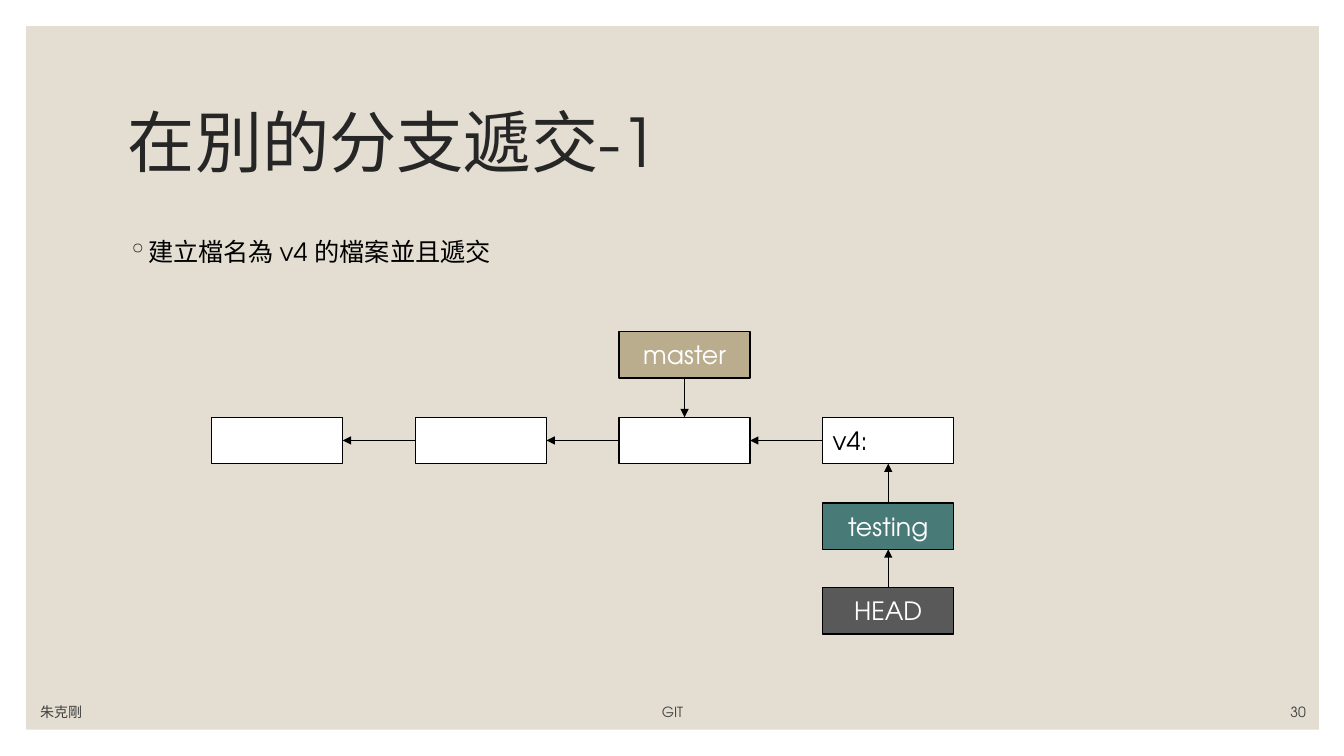
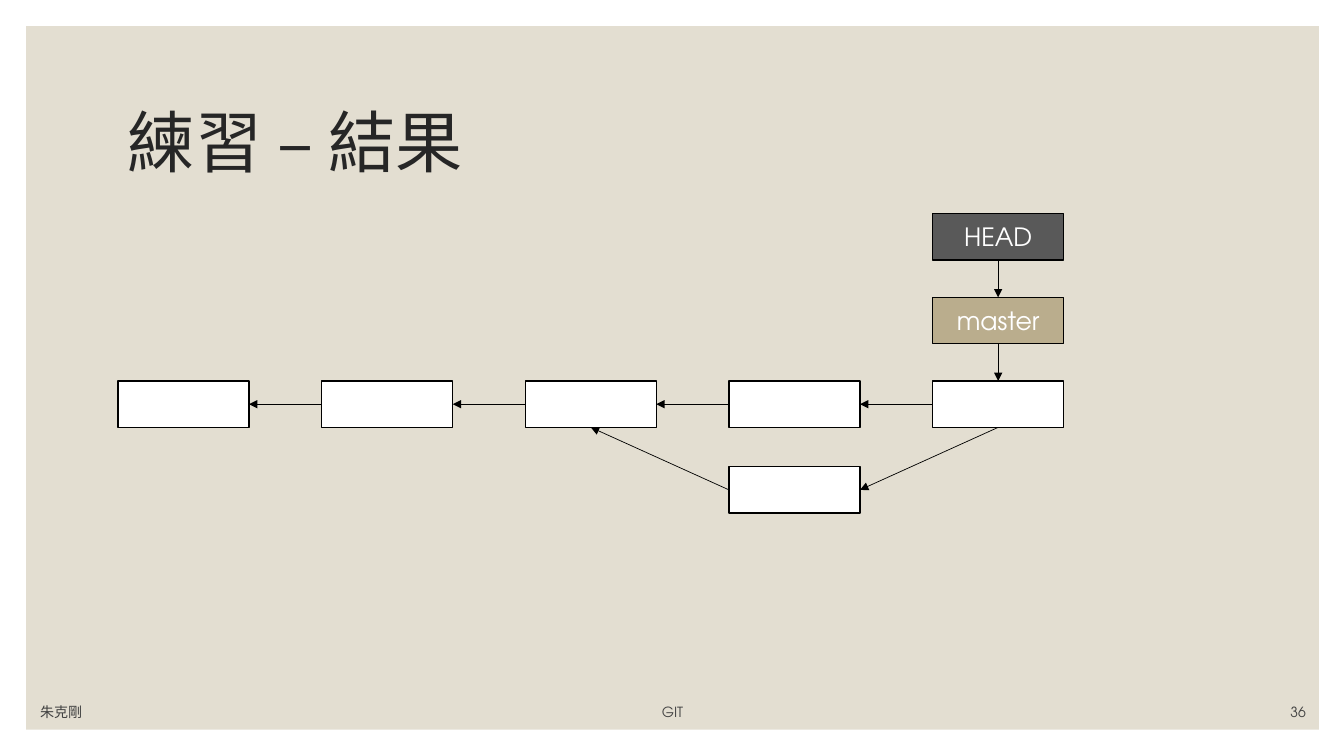
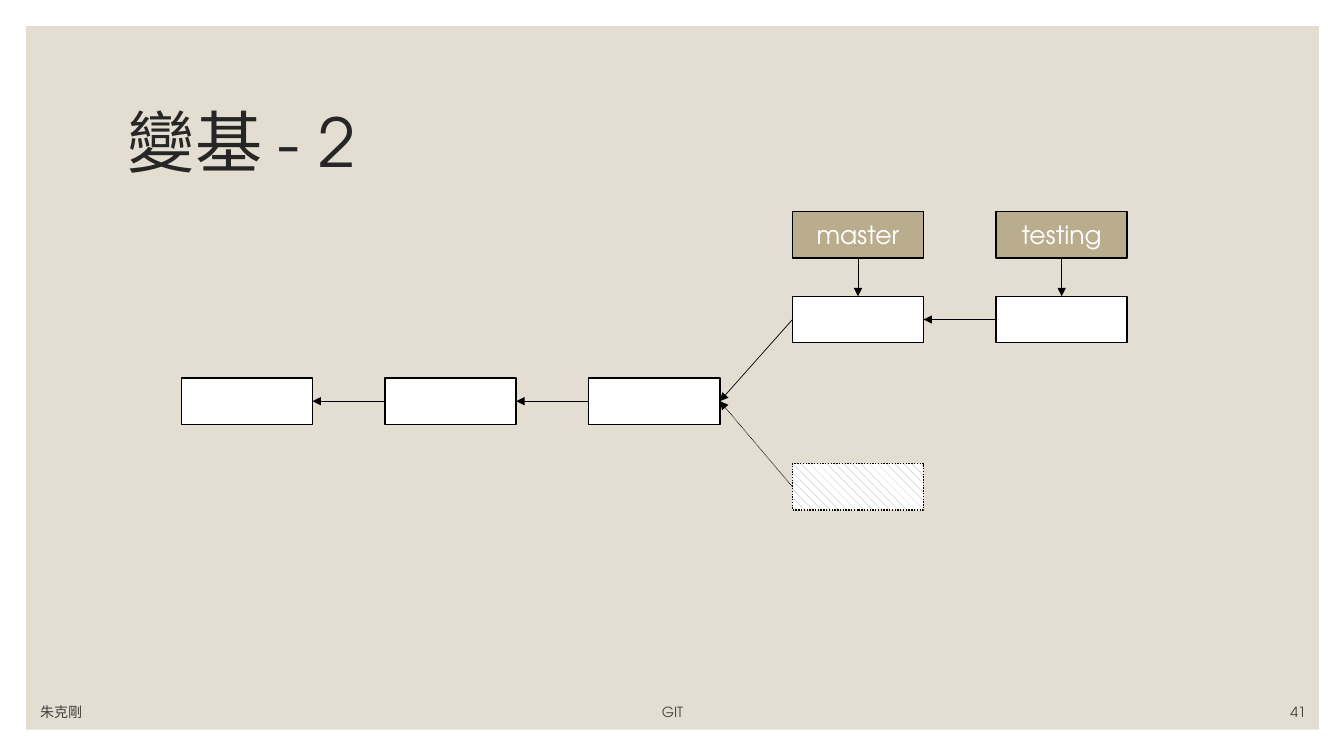
from dataclasses import dataclass

from lxml import etree
from pptx import Presentation
from pptx.dml.color import RGBColor
from pptx.enum.dml import MSO_LINE, MSO_PATTERN
from pptx.enum.shapes import MSO_CONNECTOR, MSO_SHAPE
from pptx.enum.text import MSO_ANCHOR, PP_ALIGN
from pptx.oxml.ns import qn
from pptx.shapes.autoshape import Shape
from pptx.slide import Slide
from pptx.util import Inches, Pt

RECTANGLE = MSO_SHAPE.RECTANGLE
STRAIGHT = MSO_CONNECTOR.STRAIGHT
DOTTED = MSO_LINE.ROUND_DOT
HATCH = MSO_PATTERN.DASHED_DOWNWARD_DIAGONAL
LEFT, CENTER, RIGHT = PP_ALIGN.LEFT, PP_ALIGN.CENTER, PP_ALIGN.RIGHT
TOP, MIDDLE, BOTTOM = MSO_ANCHOR.TOP, MSO_ANCHOR.MIDDLE, MSO_ANCHOR.BOTTOM

# Connection sites of a rectangle
SITE_TOP, SITE_LEFT, SITE_BOTTOM, SITE_RIGHT = range(4)

FONT = "TeX Gyre Adventor"
COLORS = {
    "panel": "E3DED1",
    "title": "262626",
    "footer": "404040",
    "black": "000000",
    "commit": "FFFFFF",
    "branch": "BAAD8D",
    "testing": "487B78",
    "head": "595959",
    "hatch": "A6A6A6",
}

# Diagram grid
BOX_WIDTH, BOX_HEIGHT = 1.3, 0.46
COLUMN_PITCH = 2.02

Cell = tuple[int, int]  # column, row
Area = tuple[float, float, float, float]  # left, top, width, height


@dataclass(frozen=True)
class Box:
    cell: Cell
    label: str = ""
    fill: str = "commit"
    text_color: str = "commit"
    align: PP_ALIGN = CENTER
    dotted: bool = False


@dataclass(frozen=True)
class Arrow:
    start: Cell
    end: Cell
    start_site: int = SITE_LEFT
    end_site: int = SITE_RIGHT
    dotted: bool = False


@dataclass(frozen=True)
class Page:
    title: str
    number: int
    left: float
    row_tops: tuple[float, ...]
    boxes: list[Box]
    arrows: list[Arrow]
    bullet: str = ""


def rgb(name: str) -> RGBColor:
    return RGBColor.from_string(COLORS[name])


def write(shape: Shape, text: str, size: float, color: str,
          align: PP_ALIGN = LEFT, anchor: MSO_ANCHOR = MIDDLE) -> None:
    frame = shape.text_frame
    frame.word_wrap = True
    frame.vertical_anchor = anchor
    frame.text = text
    paragraph = frame.paragraphs[0]
    paragraph.alignment = align
    font = paragraph.runs[0].font
    font.name, font.size = FONT, Pt(size)
    font.color.rgb = rgb(color)


def add_text(slide: Slide, area: Area, text: str, size: float, color: str,
             align: PP_ALIGN = LEFT, anchor: MSO_ANCHOR = MIDDLE) -> Shape:
    text_box = slide.shapes.add_textbox(*map(Inches, area))
    write(text_box, text, size, color, align, anchor)
    return text_box


def add_rectangle(slide: Slide, area: Area, fill: str) -> Shape:
    rectangle = slide.shapes.add_shape(RECTANGLE, *map(Inches, area))
    rectangle.shadow.inherit = False
    rectangle.fill.solid()
    rectangle.fill.fore_color.rgb = rgb(fill)
    rectangle.line.fill.background()
    return rectangle


def add_frame(slide: Slide, page: Page) -> None:
    """Panel, title and footer shared by all slides."""
    add_rectangle(slide, (0.26, 0.26, 12.82, 6.98), "panel")
    title = add_text(slide, (1.17, 0.7, 11, 1.5), page.title, 48, "title")
    title.text_frame.paragraphs[0].line_spacing = 0.9
    footers = (
        (0.3, 3, "朱克剛", LEFT),
        (3.82, 5.7, "GIT", CENTER),
        (11.45, 1.6, str(page.number), RIGHT),
    )
    for left, width, text, align in footers:
        add_text(slide, (left, 6.9, width, 0.3), text, 10, "footer", align, BOTTOM)


def add_bullet(slide: Slide, text: str) -> None:
    body = add_text(slide, (1.17, 2.3, 11, 4.3), text, 18, "black", anchor=TOP)
    properties = body.text_frame.paragraphs[0]._p.get_or_add_pPr()
    properties.set("marL", str(Inches(0.2)))
    properties.set("indent", str(Inches(-0.2)))
    bullet_color = etree.SubElement(properties, qn("a:buClr"))
    etree.SubElement(bullet_color, qn("a:srgbClr"), val=COLORS["title"])
    etree.SubElement(properties, qn("a:buChar"), char="◦")


def add_box(slide: Slide, page: Page, box: Box) -> Shape:
    column, row = box.cell
    area = (page.left + column * COLUMN_PITCH, page.row_tops[row],
            BOX_WIDTH, BOX_HEIGHT)
    shape = add_rectangle(slide, area, box.fill)
    shape.line.color.rgb = rgb("black")
    shape.line.width = Pt(1)
    if box.dotted:
        shape.line.dash_style = DOTTED
        shape.fill.patterned()
        shape.fill.pattern = HATCH
        shape.fill.fore_color.rgb = rgb("hatch")
        shape.fill.back_color.rgb = rgb("commit")
    if box.label:
        write(shape, box.label, 18, box.text_color, box.align)
    return shape


def add_arrow(slide: Slide, arrow: Arrow, placed: dict[Cell, Shape]) -> None:
    connector = slide.shapes.add_connector(STRAIGHT, 0, 0, 0, 0)
    connector.begin_connect(placed[arrow.start], arrow.start_site)
    connector.end_connect(placed[arrow.end], arrow.end_site)
    connector.line.color.rgb = rgb("black")
    connector.line.width = Pt(0.5)
    if arrow.dotted:
        connector.line.dash_style = DOTTED
    properties = connector._element.spPr
    etree.SubElement(properties.find(qn("a:ln")), qn("a:tailEnd"), type="triangle")
    etree.SubElement(properties, qn("a:effectLst"))


def add_page(presentation: Presentation, page: Page) -> None:
    slide = presentation.slides.add_slide(presentation.slide_layouts[6])
    add_frame(slide, page)
    if page.bullet:
        add_bullet(slide, page.bullet)
    placed = {box.cell: add_box(slide, page, box) for box in page.boxes}
    for arrow in page.arrows:
        add_arrow(slide, arrow, placed)


def commits(count: int, row: int) -> list[Box]:
    return [Box((column, row)) for column in range(count)]


def history(count: int, row: int) -> list[Arrow]:
    """Arrows from each commit in a row back to its parent."""
    return [Arrow((column, row), (column - 1, row)) for column in range(1, count)]


def down(column: int, row: int) -> Arrow:
    return Arrow((column, row), (column, row + 1), SITE_BOTTOM, SITE_TOP)


def up(column: int, row: int) -> Arrow:
    return Arrow((column, row), (column, row - 1), SITE_TOP, SITE_BOTTOM)


PAGES = [
    # Commit on another branch
    Page(
        "在別的分支遞交-1", 30, 2.1, (3.29, 4.14, 4.99, 5.83),
        boxes=commits(3, 1) + [
            Box((3, 1), "v4:", text_color="black", align=LEFT),
            Box((2, 0), "master", "branch"),
            Box((3, 2), "testing", "testing"),
            Box((3, 3), "HEAD", "head"),
        ],
        arrows=history(4, 1) + [down(2, 0), up(3, 2), up(3, 3)],
        bullet="建立檔名為 v4 的檔案並且遞交",
    ),
    # Merge result
    Page(
        "練習 – 結果", 36, 1.17, (2.12, 2.95, 3.78, 4.63),
        boxes=commits(5, 2) + [
            Box((3, 3)),
            Box((4, 0), "HEAD", "head"),
            Box((4, 1), "master", "branch"),
        ],
        arrows=history(5, 2) + [
            down(4, 0),
            down(4, 1),
            Arrow((3, 3), (2, 2), SITE_LEFT, SITE_BOTTOM),
            Arrow((4, 2), (3, 3), SITE_BOTTOM, SITE_RIGHT),
        ],
    ),
    # Rebase
    Page(
        "變基 - 2", 41, 1.8, (2.1, 2.94, 3.75, 4.6),
        boxes=commits(3, 2) + [
            Box((3, 1)),
            Box((4, 1)),
            Box((3, 3), dotted=True),
            Box((3, 0), "master", "branch"),
            Box((4, 0), "testing", "branch"),
        ],
        arrows=history(3, 2) + [
            down(3, 0),
            down(4, 0),
            Arrow((4, 1), (3, 1)),
            Arrow((3, 1), (2, 2)),
            Arrow((3, 3), (2, 2), dotted=True),
        ],
    ),
]


def main() -> None:
    presentation = Presentation()
    presentation.slide_width = Inches(13.33)
    presentation.slide_height = Inches(7.5)
    for page in PAGES:
        add_page(presentation, page)
    presentation.save("out.pptx")


if __name__ == "__main__":
    main()
